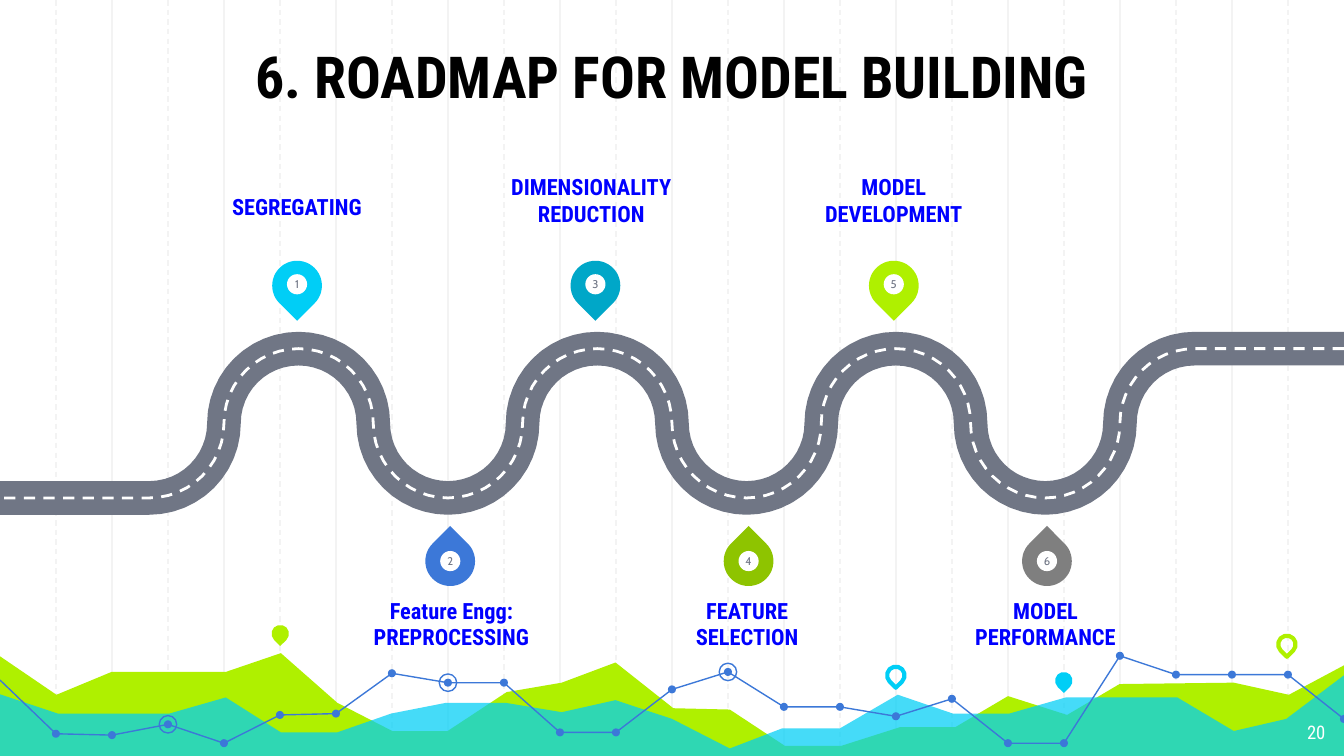
from math import cos, pi, sin

from lxml.etree import SubElement
from pptx import Presentation
from pptx.dml.color import RGBColor
from pptx.enum.dml import MSO_LINE
from pptx.enum.shapes import MSO_CONNECTOR, MSO_SHAPE
from pptx.enum.text import MSO_ANCHOR, PP_ALIGN
from pptx.oxml.ns import qn
from pptx.util import Inches, Pt

COLORS = {
    "grid": "F3F3F3", "lime": "AFF000", "cyan": "00CEF6", "blue": "3C78D8",
    "teal": "00A7C8", "green": "8EC400", "gray": "7F7F7F", "road": "707685",
    "white": "FFFFFF", "black": "000000", "label": "0000FF",
}
HEADING_FONT = "Roboto Condensed"

presentation = Presentation()
presentation.slide_width = Inches(10)
presentation.slide_height = Inches(10) * 9 // 16
slide = presentation.slides.add_slide(presentation.slide_layouts[6])
shapes = slide.shapes


def paint(shape, fill=None, line=None, width=0.75):
    shape.shadow.inherit = False
    if fill:
        shape.fill.solid()
        shape.fill.fore_color.rgb = RGBColor.from_string(COLORS[fill])
    else:
        shape.fill.background()
    if line:
        shape.line.color.rgb = RGBColor.from_string(COLORS[line])
        shape.line.width = Pt(width)
    else:
        shape.line.fill.background()
    return shape


def write(shape, text, size, color, font=HEADING_FONT, bold=False,
          align=PP_ALIGN.CENTER, anchor=MSO_ANCHOR.TOP, margin=0):
    frame = shape.text_frame
    frame.word_wrap = True
    frame.vertical_anchor = anchor
    frame.margin_left = frame.margin_right = Inches(margin)
    frame.margin_top = frame.margin_bottom = Inches(margin)
    frame.text = text
    for paragraph in frame.paragraphs:
        paragraph.alignment = align
        paragraph.font.name = font
        paragraph.font.size = Pt(size)
        paragraph.font.bold = bold
        paragraph.font.color.rgb = RGBColor.from_string(COLORS[color])


# Background grid: solid and dashed lines alternate
column = 10 / 24
for index in [*range(2, 24, 2), *range(1, 24, 2)]:
    x = Inches(index * column)
    grid_line = shapes.add_connector(
        MSO_CONNECTOR.STRAIGHT, x, 0, x, presentation.slide_height)
    grid_line.line.color.rgb = RGBColor.from_string(COLORS["grid"])
    grid_line.line.width = Pt(0.75)
    if index % 2:
        grid_line.line.dash_style = MSO_LINE.DASH
    SubElement(grid_line._element.spPr, qn("a:effectLst"))

# Outlines: the two hills, the trend line and the road
lime_hill = [
    (-0.02, 4.87), (0.42, 5.17), (0.83, 5), (1.68, 5), (2.09, 4.86), (2.51, 5.23),
    (2.92, 5.44), (3.33, 5.44), (3.77, 5.15), (4.18, 5.08), (4.58, 4.93),
    (5.01, 5.27), (5.43, 5.28), (5.84, 5.55), (6.26, 5.55), (6.7, 5.41),
    (7.11, 5.41), (7.5, 5.18), (7.94, 5.32), (8.33, 5.09), (9.18, 5.08),
    (9.59, 5.17), (10.02, 4.94), (10.02, 5.64), (-0.03, 5.64),
]
cyan_hill = [
    (-0.02, 5.16), (0.43, 5.31), (1.26, 5.31), (1.68, 5.19), (2.09, 5.45),
    (2.51, 5.45), (2.91, 5.31), (3.32, 5.23), (3.76, 5.23), (4.18, 5.3),
    (4.58, 5.21), (5, 5.35), (5.43, 5.57), (5.82, 5.42), (6.25, 5.42),
    (6.68, 5.17), (7.09, 5.31), (7.51, 5.31), (7.93, 5.19), (8.76, 5.19),
    (9.18, 5.44), (9.57, 5.35), (10.02, 5.01), (10.02, 5.65), (-0.03, 5.65),
]
trend_heights = [
    5.06, 5.46, 5.47, 5.39, 5.53, 5.32, 5.31, 5.01, 5.08, 5.08, 5.45, 5.45, 5.13,
    5, 5.26, 5.26, 5.33, 5.2, 5.53, 5.53, 4.88, 5.02, 5.02, 5.02, 5.35,
]
trend = [(index * column, y) for index, y in enumerate(trend_heights)]

# The road is a chain of half circles, with a quarter circle at each end
radius = 5 / 9
steps = 24
road = [(0, 3.15 + radius)]
for bend in range(1, 9):
    side = 1 if bend % 2 else -1
    first = steps // 2 if bend == 1 else 0
    last = steps // 2 if bend == 8 else steps
    for step in range(first, last + 1):
        angle = pi * step / steps
        road.append((2 * radius * bend - radius * cos(angle),
                     3.15 + side * radius * sin(angle)))
road.append((10, 3.15 - radius))
road.reverse()

outlines = {}
for name, points, closed, style in [
    ("lime hill", lime_hill, True, {"fill": "lime"}),
    ("cyan hill", cyan_hill, True, {"fill": "cyan"}),
    ("trend", trend, False, {"line": "blue"}),
    ("road", road, False, {"line": "road", "width": 18}),
    ("road marking", road, False, {"line": "white", "width": 1.5}),
]:
    corners = [(Inches(x), Inches(y)) for x, y in points]
    builder = shapes.build_freeform(*corners[0])
    builder.add_line_segments(corners[1:], close=closed)
    outlines[name] = paint(builder.convert_to_shape(), **style)
outlines["road marking"].line.dash_style = MSO_LINE.DASH
cyan_fill = outlines["cyan hill"]._element.spPr.find(qn("a:solidFill"))
SubElement(cyan_fill[0], qn("a:alpha"), val="73000")

# Dots on the trend line, some of them ringed
circles = [(point, 0.06, {"fill": "blue"}) for point in trend[1:]]
circles += [(trend[index], 0.13, {"line": "blue"}) for index in (3, 8, 13)]
for (x, y), size, style in circles:
    paint(shapes.add_shape(
        MSO_SHAPE.OVAL, Inches(x - size / 2), Inches(y - size / 2),
        Inches(size), Inches(size)), **style)

# Small pins above the hills
for left, top, style in [
    (2.02, 4.65, {"fill": "lime"}),
    (6.6, 4.96, {"line": "cyan", "width": 2.25}),
    (7.85, 5, {"fill": "cyan"}),
    (9.51, 4.73, {"line": "lime", "width": 2.25}),
]:
    pin = shapes.add_shape(
        MSO_SHAPE.TEAR, Inches(left), Inches(top), Inches(0.13), Inches(0.13))
    pin.rotation = 135
    paint(pin, **style)

title = shapes.add_textbox(Inches(1.17), Inches(0.14), Inches(7.65), Inches(0.78))
write(title, "6. ROADMAP FOR MODEL BUILDING", 31, "black", bold=True,
      anchor=MSO_ANCHOR.BOTTOM, margin=0.1)
page_number = shapes.add_textbox(
    Inches(9.36), Inches(5.28), Inches(0.6), Inches(0.35))
write(page_number, "20", 10, "white", align=PP_ALIGN.RIGHT, margin=0.1)

# Milestones: odd ones above the road, even ones below
milestones = [
    ("SEGREGATING", "cyan", 2.21, 1.64),
    ("Feature Engg:\nPREPROCESSING", "blue", 3.36, 4.44),
    ("DIMENSIONALITY REDUCTION", "teal", 4.4, 1.69),
    ("FEATURE SELECTION", "green", 5.56, 4.44),
    ("MODEL DEVELOPMENT", "lime", 6.65, 1.69),
    ("MODEL PERFORMANCE", "gray", 7.78, 4.44),
]
label_width, label_height = 1.36, 0.58
for number, (text, color, label_center, label_edge) in enumerate(milestones, 1):
    above = number % 2 == 1
    pin_center = (1.1 if above else 1.13) + 1.11 * number
    pin_top, hole_top = (1.94, 2.04) if above else (3.99, 4.1)
    pin = shapes.add_shape(MSO_SHAPE.TEAR, Inches(pin_center - 0.37 / 2),
                           Inches(pin_top), Inches(0.37), Inches(0.37))
    pin.rotation = 135 if above else 315
    paint(pin, fill=color)
    hole = shapes.add_shape(MSO_SHAPE.OVAL, Inches(pin_center - 0.15 / 2),
                            Inches(hole_top), Inches(0.15), Inches(0.15))
    write(paint(hole, fill="white"), str(number), 6, "road", font="Cabin",
          anchor=MSO_ANCHOR.MIDDLE)
    label_top = label_edge - label_height if above else label_edge
    label = shapes.add_textbox(
        Inches(label_center - label_width / 2), Inches(label_top),
        Inches(label_width), Inches(label_height))
    write(label, text, 12, "label", bold=True,
          anchor=MSO_ANCHOR.BOTTOM if above else MSO_ANCHOR.TOP)

presentation.save("out.pptx")
